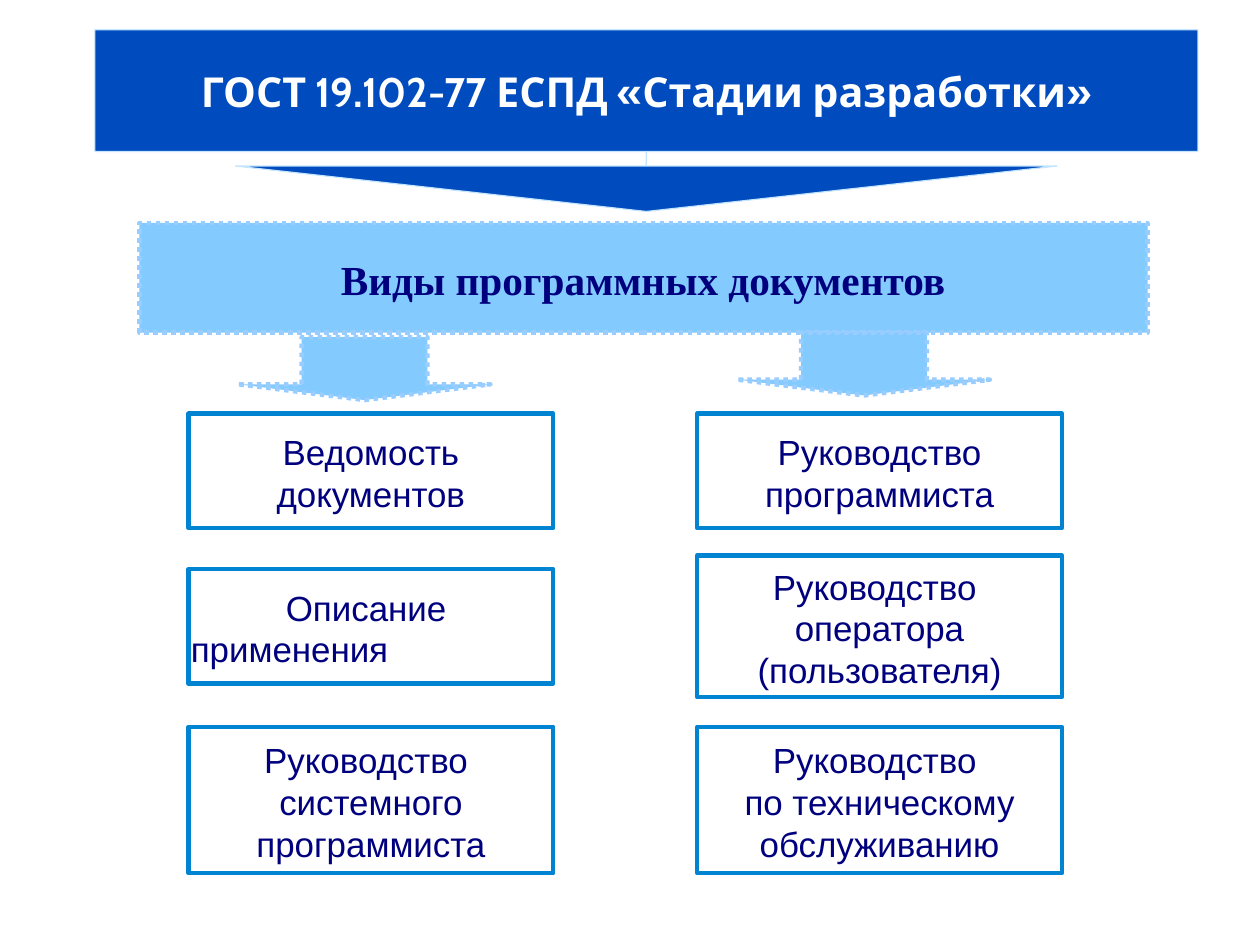
from pptx import Presentation
from pptx.dml.color import RGBColor
from pptx.enum.dml import MSO_LINE
from pptx.enum.shapes import MSO_SHAPE
from pptx.enum.text import MSO_ANCHOR, PP_ALIGN
from pptx.util import Inches, Pt

RECT = MSO_SHAPE.RECTANGLE
ARROW = MSO_SHAPE.DOWN_ARROW
CALLOUT = MSO_SHAPE.DOWN_ARROW_CALLOUT
DOTS = MSO_LINE.ROUND_DOT
MIDDLE = MSO_ANCHOR.MIDDLE
LEFT, CENTER = PP_ALIGN.LEFT, PP_ALIGN.CENTER

WHITE = RGBColor(0xFF, 0xFF, 0xFF)
NAVY = RGBColor(0x00, 0x00, 0x7F)
BLUE = RGBColor(0x00, 0x4C, 0xBF)
PALE = RGBColor(0xC4, 0xE5, 0xFF)
SKY = RGBColor(0x83, 0xCA, 0xFF)
EDGE = RGBColor(0x99, 0xCC, 0xFF)
FRAME = RGBColor(0x00, 0x84, 0xD1)

TITLE = "ГОСТ 19.102-77 ЕСПД «Стадии разработки»"
HEAD = "Виды программных документов"
COLUMNS = [
    (1.65, [
        (3.62, 1, ["Ведомость документов"]),
        (4.98, 1, ["Описание ", "применения"]),
        (6.36, 1.28, ["Руководство ", "системного программиста"]),
    ]),
    (6.1, [
        (3.62, 1, ["Руководство программиста"]),
        (4.86, 1.24, ["Руководство ", "оператора", "(пользователя)"]),
        (6.36, 1.28, ["Руководство ", "по техническому обслуживанию"]),
    ]),
]
ARROWS = [(2.09, 2.95), (6.46, 2.91)]
CARD_W = 3.19
INSETS = (0.02, 0.05, 0.02, 0.02)
CM = 1 / 2.54

deck = Presentation()
deck.slide_width, deck.slide_height = Inches(28 * CM), Inches(21 * CM)
slide = deck.slides.add_slide(deck.slide_layouts[6])


def add_form(kind, box, fill, line, width=2.83, dash=None):
    form = slide.shapes.add_shape(kind, *map(Inches, box))
    form.shadow.inherit = False
    form.fill.solid()
    form.fill.fore_color.rgb = fill
    form.line.color.rgb = line
    form.line.width = Pt(width)
    if dash:
        form.line.dash_style = dash
    return form


def add_text(form, lines, face, size, color, bold=False, insets=INSETS, after=0):
    frame = form.text_frame
    frame.word_wrap = True
    frame.vertical_anchor = MIDDLE
    (frame.margin_left, frame.margin_top,
     frame.margin_right, frame.margin_bottom) = map(Inches, insets)
    for i, line in enumerate(lines):
        para = frame.paragraphs[0] if i == 0 else frame.add_paragraph()
        para.text = line
        para.alignment = CENTER
        para.space_after = Pt(after)
        font = para.font
        font.name, font.size, font.bold = face, Pt(size), bold
        font.color.rgb = color
    return frame


band = add_form(RECT, (1.22, 1.95, 8.82, 0.96), SKY, EDGE, dash=DOTS)
add_text(band, [HEAD], "Times New Roman", 26, NAVY, True, after=6)

title = add_form(CALLOUT, (0.83, 0.26, 9.65, 1.59), BLUE, PALE, 0.75)
for i, value in enumerate((0, 2.26, 0.25, 0.67)):
    title.adjustments[i] = value
frame = add_text(title, [TITLE], "Cabin", 26, WHITE, True, (0.1, 0.06, 0.1, 0.05), 6)
frame.word_wrap = False

for x, cards in COLUMNS:
    for y, high, lines in cards:
        card = add_form(RECT, (x, y, CARD_W, high), WHITE, FRAME)
        frame = add_text(card, lines, "Arial", 22, NAVY)
        if lines[-1] == "применения":
            frame.paragraphs[-1].alignment = LEFT

for x, y in ARROWS:
    arrow = add_form(ARROW, (x, y, 2.2, 0.55), SKY, EDGE, dash=DOTS)
    arrow.adjustments[0] = 0.5
    arrow.adjustments[1] = 0.25

deck.save("out.pptx")
